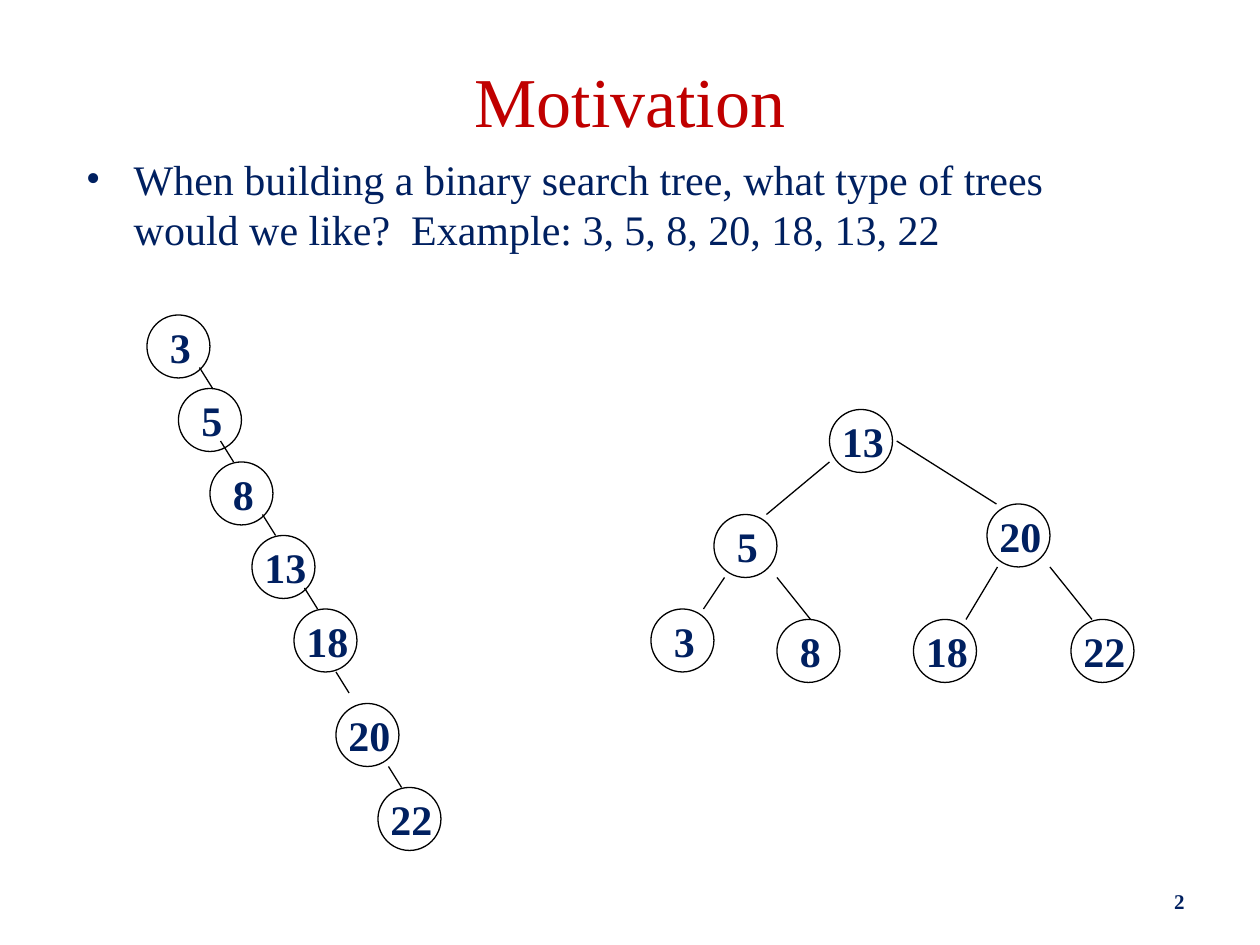
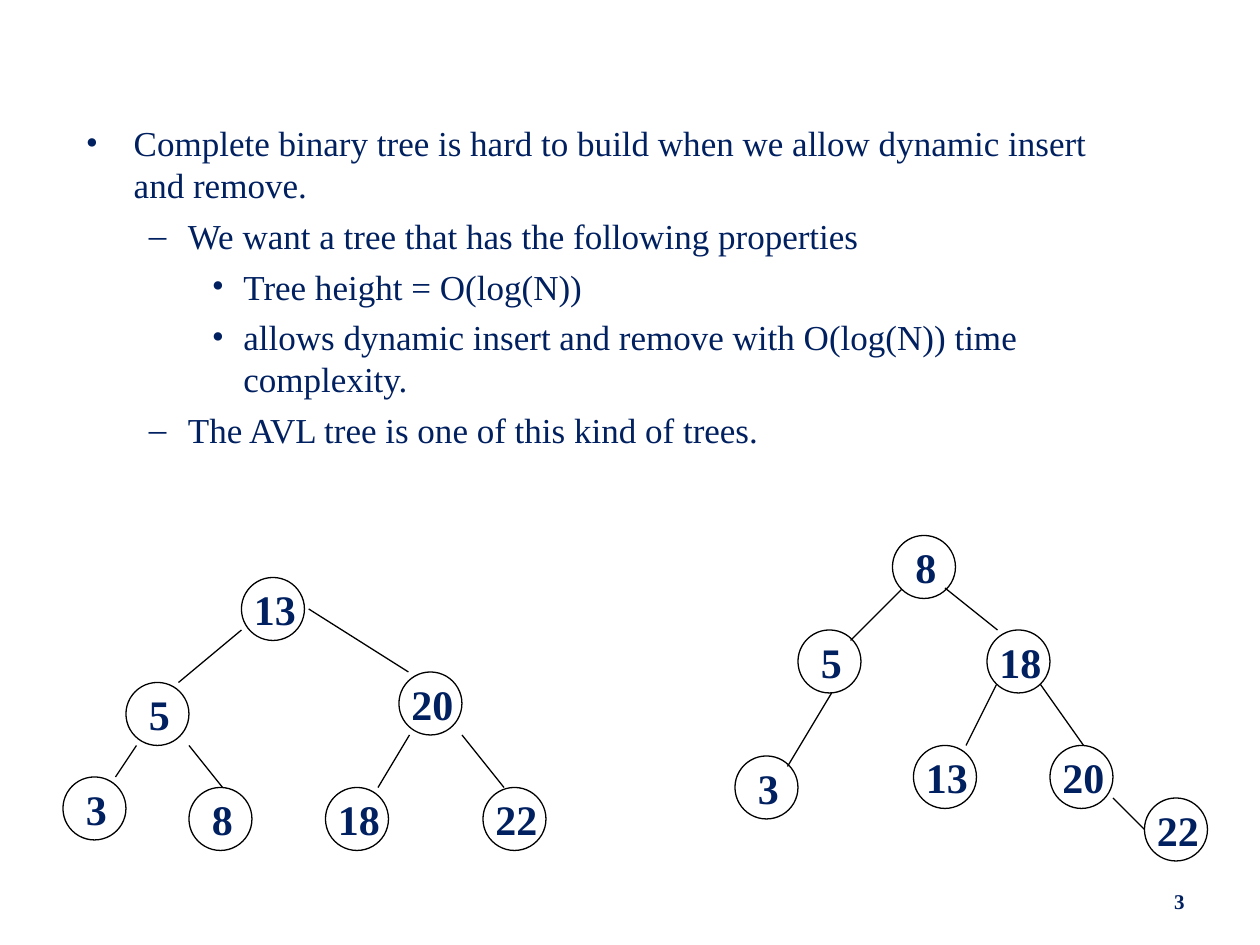
import pptx
import pptx.dml.color
import pptx.enum.shapes
import pptx.enum.text
import pptx.oxml.ns
import pptx.util
from lxml import etree

COLUMNS, ROWS = 120, 90
CELL = pptx.util.Inches(10) // COLUMNS
NODE = 6
FONT = "Times New Roman"
NAVY, RED, BLACK = "002060", "C00000", "000000"
ALIGN = pptx.enum.text.PP_ALIGN
ANCHOR = pptx.enum.text.MSO_ANCHOR
BULLETS = [("•", 0.38, 0.38), ("–", 0.81, 0.31), ("•", 1.25, 0.25)]

CHAIN_NODES = [("3", 14, 30), ("5", 17, 37), ("8", 20, 44), ("13", 24, 51),
               ("18", 28, 58), ("20", 32, 67), ("22", 36, 75)]
CHAIN_STARTS = [(19, 35), (21, 42), (25, 49), (29, 56), (32, 64), (37, 73)]
CHAIN_EDGES = [(col, row, col + 1.25, row + 2) for col, row in CHAIN_STARTS]

COMPLETE_NODES = [("13", 17, 0), ("5", 6, 10), ("3", 0, 19), ("8", 12, 20),
                  ("20", 32, 9), ("18", 25, 20), ("22", 40, 20)]
COMPLETE_EDGES = [(17, 5, 11, 10), (23.4, 3, 32.9, 9), (7, 16, 5, 19),
                  (12, 16, 15.2, 20), (33, 15, 30, 20), (38, 15, 42, 20)]

BALANCED_NODES = [("8", 15, 0), ("5", 6, 9), ("3", 0, 21), ("18", 24, 9),
                  ("13", 17, 20), ("20", 30, 20), ("22", 39, 25)]
BALANCED_EDGES = [(15.9, 5.1, 11, 10), (9.2, 15, 5, 22), (20, 5, 25, 9),
                  (24.9, 14.2, 22, 20), (29.1, 14.2, 33.2, 20), (36, 25, 39, 28)]


def color(value):
    """Turn a hex string into a colour."""
    return pptx.dml.color.RGBColor.from_string(value)


def grid(*cells):
    """Turn grid cells into lengths."""
    return [round(cell * CELL) for cell in cells]


def write(para, text, size=24, ink=NAVY, bold=False, align=ALIGN.LEFT):
    """Write one formatted run into a paragraph."""
    para.alignment = align
    span = para.add_run()
    span.text = text
    span.font.name = FONT
    span.font.size = pptx.util.Pt(size)
    span.font.bold = bold
    span.font.color.rgb = color(ink)


def add_box(page, area, anchor=ANCHOR.TOP, wrap=True):
    """Add an empty text box on the grid and return its frame."""
    frame = page.shapes.add_textbox(*grid(*area)).text_frame
    frame.word_wrap = wrap
    frame.vertical_anchor = anchor
    return frame


def add_text(page, area, text, anchor=ANCHOR.MIDDLE, wrap=True, **style):
    """Add a text box that holds a single line."""
    frame = add_box(page, area, anchor, wrap)
    write(frame.paragraphs[0], text, **style)
    return frame


def set_bullet(para, level):
    """Give a paragraph the bullet and indent of its level."""
    mark, margin, hang = BULLETS[level]
    para.level = level
    props = para._p.get_or_add_pPr()
    props.set("marL", str(pptx.util.Inches(margin)))
    props.set("indent", str(-pptx.util.Inches(hang)))
    tint = etree.SubElement(props, pptx.oxml.ns.qn("a:buClr"))
    etree.SubElement(tint, pptx.oxml.ns.qn("a:srgbClr"), val=NAVY)
    etree.SubElement(props, pptx.oxml.ns.qn("a:buFont"), typeface=FONT)
    etree.SubElement(props, pptx.oxml.ns.qn("a:buChar"), char=mark)


def add_bullets(page, area, items, size, gap):
    """Add a bulleted list of level and text pairs."""
    frame = add_box(page, area)
    for index, (level, text) in enumerate(items):
        para = frame.add_paragraph() if index else frame.paragraphs[0]
        write(para, text, size=size)
        para.space_before = pptx.util.Pt(gap)
        set_bullet(para, level)


def add_node(page, label, col, row):
    """Add a circle with its value over it."""
    circle = page.shapes.add_shape(
        pptx.enum.shapes.MSO_SHAPE.OVAL, *grid(col, row, NODE, NODE))
    circle.shadow.inherit = False
    circle.fill.background()
    circle.line.color.rgb = color(BLACK)
    circle.line.width = pptx.util.Pt(0.75)
    shift, width = (1, 4.3) if len(label) == 1 else (0, 6.4)
    frame = add_text(page, (col + shift, row, width, NODE), label,
                     anchor=ANCHOR.TOP, wrap=False, bold=True)
    frame.auto_size = pptx.enum.text.MSO_AUTO_SIZE.SHAPE_TO_FIT_TEXT


def add_edge(page, *ends):
    """Add a thin line between two grid points."""
    edge = page.shapes.add_connector(
        pptx.enum.shapes.MSO_CONNECTOR.STRAIGHT, *grid(*ends))
    edge.line.color.rgb = color(BLACK)
    edge.line.width = pptx.util.Pt(0.75)
    etree.SubElement(edge._element.spPr, pptx.oxml.ns.qn("a:effectLst"))


def add_tree(page, nodes, edges, left=0, top=0):
    """Add a tree whose cells are counted from left and top."""
    for label, col, row in nodes:
        add_node(page, label, left + col, top + row)
    for col, row, end_col, end_row in edges:
        add_edge(page, left + col, top + row, left + end_col, top + end_row)


def add_page(deck, number):
    """Add a blank slide with its page number."""
    page = deck.slides.add_slide(deck.slide_layouts[6])
    add_text(page, (86, 83.4, 28, 4.8), str(number),
             size=12, bold=True, align=ALIGN.RIGHT)
    return page


def main():
    """Build the two slides and save them."""
    deck = pptx.Presentation()
    deck.slide_width, deck.slide_height = grid(COLUMNS, ROWS)

    page = add_page(deck, 2)
    add_text(page, (9, 2, 102, 15), "Motivation",
             size=40, ink=RED, align=ALIGN.CENTER)
    add_bullets(page, (7, 14, 102, 13), [
        (0, "When building a binary search tree, what type of trees "
            "would we like?  Example: 3, 5, 8, 20, 18, 13, 22"),
    ], size=24, gap=6)
    add_tree(page, CHAIN_NODES, CHAIN_EDGES)
    add_tree(page, COMPLETE_NODES, COMPLETE_EDGES, left=62, top=39)

    page = add_page(deck, 3)
    add_bullets(page, (7, 11, 102, 39), [
        (0, "Complete binary tree is hard to build when we allow "
            "dynamic insert and remove."),
        (1, "We want a tree that has the following properties"),
        (2, "Tree height = O(log(N))"),
        (2, "allows dynamic insert and remove with O(log(N)) time complexity."),
        (1, "The AVL tree is one of this kind of trees."),
    ], size=20, gap=5)
    add_tree(page, COMPLETE_NODES, COMPLETE_EDGES, left=6, top=55)
    add_tree(page, BALANCED_NODES, BALANCED_EDGES, left=70, top=51)

    deck.save("out.pptx")


if __name__ == "__main__":
    main()
